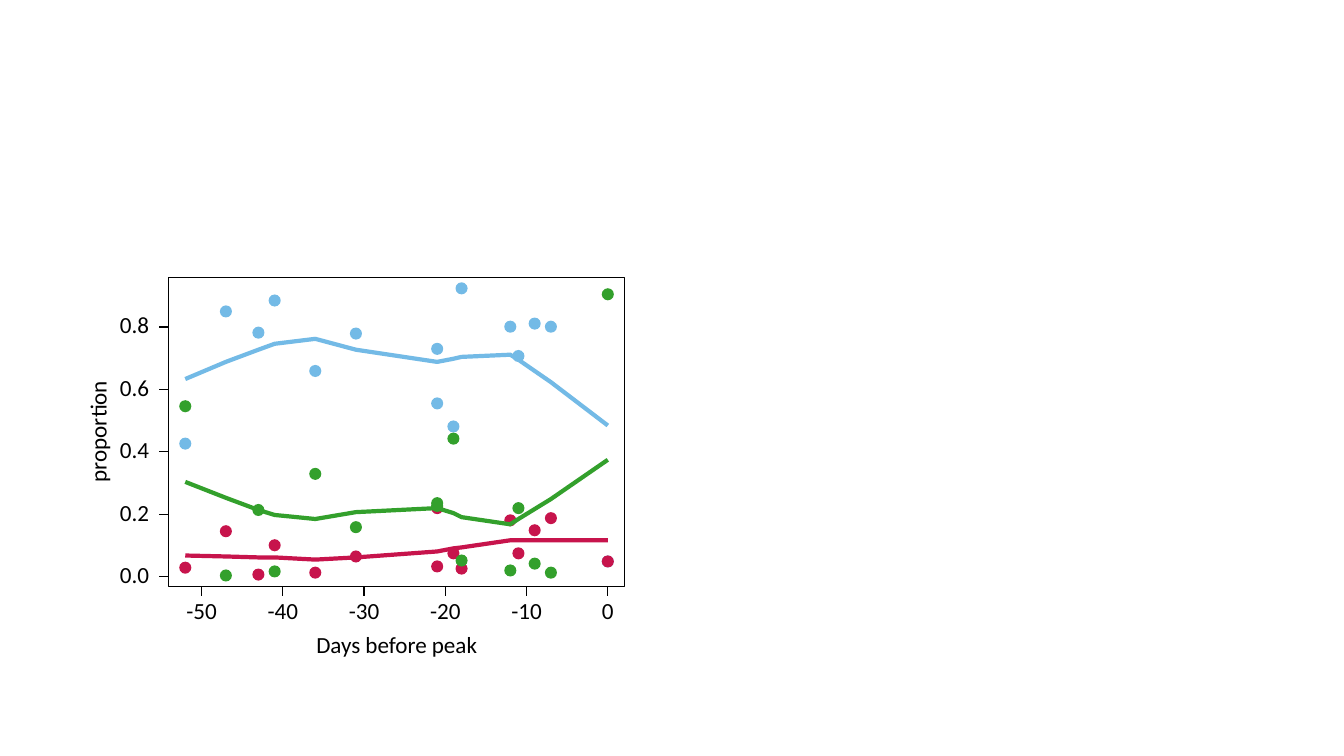
from dataclasses import dataclass

from lxml import etree
from pptx import Presentation
from pptx import util as u
from pptx.dml.color import RGBColor
from pptx.enum import shapes, text
from pptx.oxml import ns


@dataclass(frozen=True)
class Theme:
    font: str = "Calibri"
    size: float = 16.5
    ink: str = "000000"
    blue: str = "73BAE6"
    red: str = "C7144C"
    green: str = "33A02C"
    curve: float = 3
    rule: float = 0.75


THEME = Theme()
COLUMNS, ROWS = 165.4, 242.5
ORIGIN = (74.8, 184.9)
LEFT, RIGHT, BOTTOM, TOP = -54.08, 2.1, -3.3, 96
DOT = (1.49, 3.88)
TICK = (1.1, 2.9)
LABEL_HEIGHT = 4.85

DAYS = (-52, -47, -43, -41, -36, -31, -21, -21, -19, -18, -12, -11, -9, -7, 0)
BLUE_POINTS = (42.6, 85, 78.2, 88.5, 65.9, 77.9, 55.5, 73,
               48.1, 92.4, 80.1, 70.7, 81.1, 80.1, 4.8)
BLUE_CURVE = (63.3, 68.8, 72.7, 74.6, 76.2, 72.7, 68.8, 68.8,
              69.8, 70.4, 71.1, 69.5, 65.9, 62.3, 48.4)
RED_POINTS = (2.8, 14.5, 0.6, 10, 1.2, 6.4, 21.9, 3.2,
              7.4, 2.5, 18, 7.4, 14.8, 18.7, 4.8)
RED_CURVE = (6.7, 6.4, 6.1, 6.1, 5.4, 6.1, 8, 8,
             9, 9.3, 11.6, 11.6, 11.6, 11.6, 11.6)
GREEN_POINTS = (54.6, 0.3, 21.3, 1.6, 32.9, 15.8, 22.6, 23.5,
                44.2, 5.1, 1.9, 21.9, 4.1, 1.2, 90.5)
GREEN_CURVE = (30.3, 25.2, 21.3, 19.7, 18.4, 20.6, 21.9, 21.9,
               20.3, 19, 16.7, 18.4, 21.6, 24.8, 37.4)


class Plot:
    def __init__(self, theme):
        self.theme = theme
        self.prs = Presentation()
        self.prs.slide_width = u.Inches(13.33)
        self.prs.slide_height = u.Inches(7.5)
        self.s = self.prs.slides.add_slide(self.prs.slide_layouts[6])

    def size(self, columns, rows):
        return (round(self.prs.slide_width * columns / COLUMNS),
                round(self.prs.slide_height * rows / ROWS))

    def at(self, day, percent):
        return self.size(ORIGIN[0] + day, ORIGIN[1] - percent)

    def box(self, day, percent, columns, rows):
        x, y = self.at(day, percent)
        w, h = self.size(columns, rows)
        return x - w // 2, y - h // 2, w, h

    def stroke(self, line, color, width):
        line.color.rgb = RGBColor.from_string(color)
        line.width = u.Pt(width)

    def dot(self, day, percent, color):
        sp = self.s.shapes.add_shape(shapes.MSO_SHAPE.OVAL, *self.box(day, percent, *DOT))
        sp.shadow.inherit = False
        sp.fill.solid()
        sp.fill.fore_color.rgb = RGBColor.from_string(color)
        sp.line.fill.background()

    def dots(self, values, color):
        for day, percent in zip(DAYS, values):
            self.dot(day, percent, color)

    def curve(self, values, color):
        points = [self.at(day, percent) for day, percent in zip(DAYS, values)]
        builder = self.s.shapes.build_freeform(*points[0])
        builder.add_line_segments(points[1:], close=False)
        sp = builder.convert_to_shape()
        sp.shadow.inherit = False
        sp.fill.background()
        self.stroke(sp.line, color, self.theme.curve)

    def rule(self, start, end):
        sp = self.s.shapes.add_connector(
            shapes.MSO_CONNECTOR.STRAIGHT, *self.at(*start), *self.at(*end))
        self.stroke(sp.line, self.theme.ink, self.theme.rule)
        etree.SubElement(sp._element.spPr, ns.qn("a:effectLst"))

    def frame(self):
        x, y = self.at(LEFT, TOP)
        w, h = self.size(RIGHT - LEFT, TOP - BOTTOM)
        sp = self.s.shapes.add_shape(shapes.MSO_SHAPE.RECTANGLE, x, y, w, h)
        sp.shadow.inherit = False
        sp.fill.background()
        self.stroke(sp.line, self.theme.ink, self.theme.rule)

    def label(self, words, day, percent, columns, rows=LABEL_HEIGHT, rotation=0):
        sp = self.s.shapes.add_textbox(*self.box(day, percent, columns, rows))
        sp.rotation = rotation
        tf = sp.text_frame
        tf.word_wrap = False
        tf.vertical_anchor = text.MSO_ANCHOR.MIDDLE
        tf.margin_left = tf.margin_right = tf.margin_top = tf.margin_bottom = 0
        p = tf.paragraphs[0]
        p.text = words
        p.alignment = text.PP_ALIGN.CENTER
        p.line_spacing = u.Pt(self.theme.size)
        p.font.name = self.theme.font
        p.font.size = u.Pt(self.theme.size)
        p.font.color.rgb = RGBColor.from_string(self.theme.ink)

    def axes(self):
        self.rule((-50, BOTTOM), (0, BOTTOM))
        for day in range(-50, 1, 10):
            self.rule((day, BOTTOM), (day, BOTTOM - TICK[1]))
            self.label(str(day), day, -11.5, 4 if day else 1.5)
        self.rule((LEFT, 0), (LEFT, 80))
        for percent in range(0, 81, 20):
            self.rule((LEFT, percent), (LEFT - TICK[0], percent))
            self.label(f"{percent / 100:.1f}", -58.24, percent, 3.85)
        self.frame()
        self.label("Days before peak", -25.98, -22.5, 20.5, 6.8)
        self.label("proportion", -62.53, 46.5, 13.15, 5.8, 270)


def main():
    plot = Plot(THEME)
    plot.dots(BLUE_POINTS, THEME.blue)
    plot.axes()
    plot.curve(BLUE_CURVE, THEME.blue)
    plot.dots(RED_POINTS, THEME.red)
    plot.curve(RED_CURVE, THEME.red)
    plot.dots(GREEN_POINTS, THEME.green)
    plot.curve(GREEN_CURVE, THEME.green)
    plot.prs.save("out.pptx")


if __name__ == "__main__":
    main()
